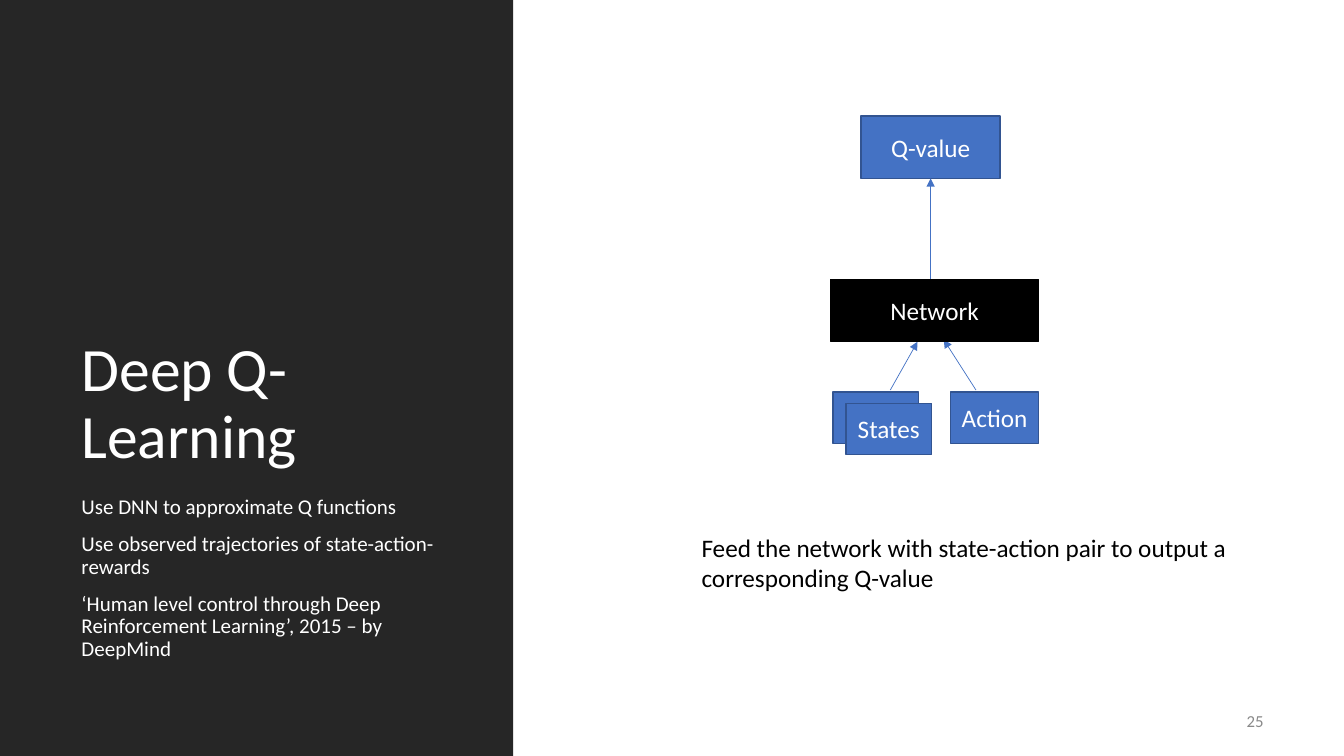
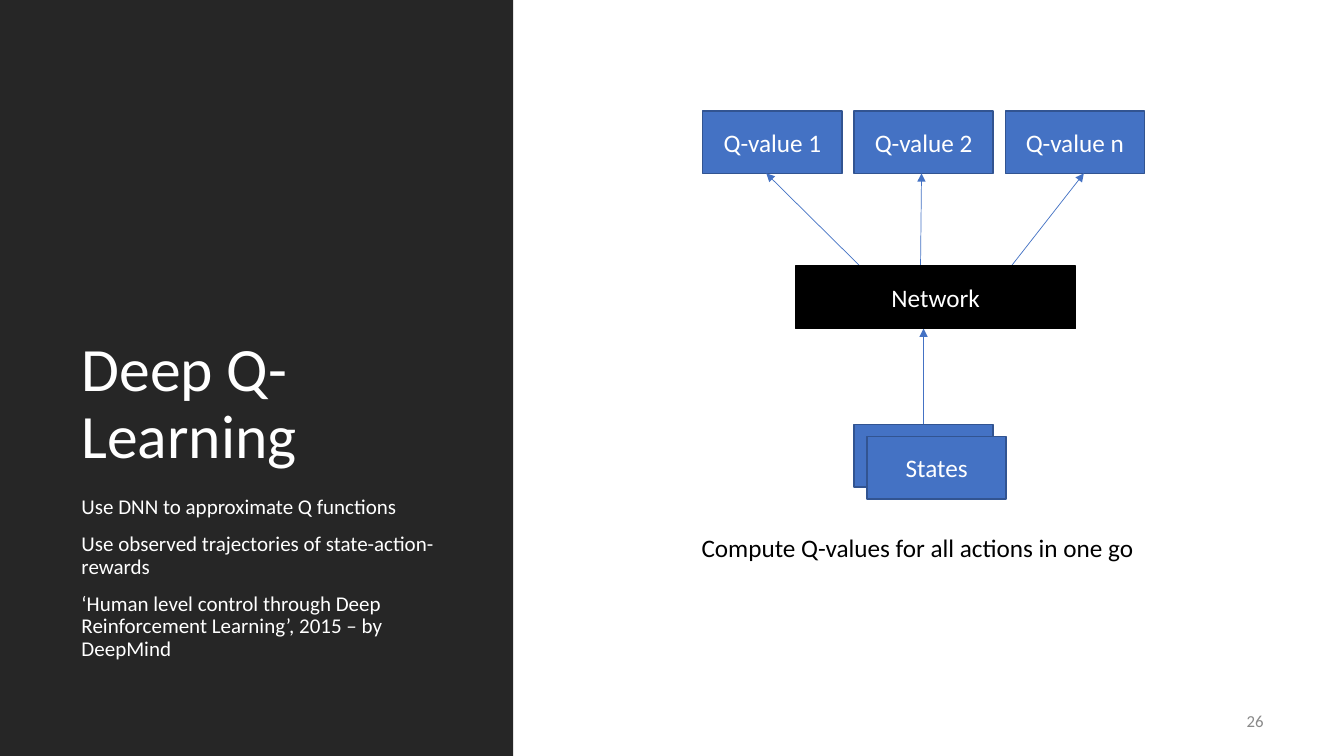
from dataclasses import dataclass

from lxml import etree
from pptx import Presentation
from pptx.dml.color import RGBColor
from pptx.enum.shapes import MSO_CONNECTOR, MSO_SHAPE
from pptx.enum.text import MSO_ANCHOR as ANCHOR, PP_ALIGN as ALIGN
from pptx.oxml.ns import qn
from pptx.util import Pt

PX = 9144  # EMU per px, 100 px to the inch
SLIDE_W, SLIDE_H = 1333, 750
BOX_W, BOX_H = 138, 62
SMALL_H = 51


@dataclass(frozen=True)
class Theme:
    font: str = "Calibri"
    panel: str = "262626"
    white: str = "FFFFFF"
    black: str = "000000"
    blue: str = "4472C4"
    outline: str = "325491"
    grey: str = "898989"
    title_size: int = 44
    body_size: int = 15
    text_size: int = 18
    number_size: int = 12


T = Theme()
TITLE = "Deep Q-Learning"
POINTS = [
    "Use DNN to approximate Q functions",
    "Use observed trajectories of state-action-rewards",
    "‘Human level control through Deep Reinforcement Learning’, 2015 – by DeepMind",
]


def emu(*lengths):
    return [n * PX for n in lengths]


def rgb(color):
    return RGBColor.from_string(color)


def write(tf, lines, size, color, align=ALIGN.LEFT, anchor=ANCHOR.TOP,
          spacing=None, gap=0):
    """Fill a text frame, one paragraph a line, with gap points between."""
    tf.word_wrap = True
    tf.vertical_anchor = anchor
    for i, line in enumerate(lines):
        p = tf.add_paragraph() if i else tf.paragraphs[0]
        p.alignment = align
        p.line_spacing = spacing
        if i and gap:
            p.space_before = Pt(gap)
        r = p.add_run()
        r.text = line
        r.font.name, r.font.size = T.font, Pt(size)
        r.font.color.rgb = rgb(color)


def add_text(s, at, lines, size, color, **style):
    tb = s.shapes.add_textbox(*emu(*at))
    write(tb.text_frame, lines, size, color, **style)


def add_box(s, at, label="", fill=T.blue, line=T.outline):
    sp = s.shapes.add_shape(MSO_SHAPE.RECTANGLE, *emu(*at))
    sp.shadow.inherit = False
    sp.fill.solid()
    sp.fill.fore_color.rgb = rgb(fill)
    if line:
        sp.line.color.rgb = rgb(line)
        sp.line.width = Pt(1)
    else:
        sp.line.fill.background()
    if label:
        tf = sp.text_frame
        tf.margin_left = tf.margin_right = 0
        write(tf, [label], T.text_size, T.white, ALIGN.CENTER, ANCHOR.MIDDLE)


def add_network(s, at):
    add_box(s, at, "Network", T.black, T.black)


def add_states(s, left, top, width, height, step):
    """Two overlapping boxes, the front one labelled."""
    add_box(s, (left, top, width, height))
    add_box(s, (left + 13, top + step, width, height), "States")


def add_arrow(s, start, end):
    cn = s.shapes.add_connector(MSO_CONNECTOR.STRAIGHT, *emu(*start, *end))
    cn.line.color.rgb = rgb(T.blue)
    cn.line.width = Pt(0.5)
    etree.SubElement(cn.line._get_or_add_ln(), qn("a:tailEnd"), type="triangle")
    etree.SubElement(cn._element.spPr, qn("a:effectLst"))


def add_base(prs, number, caption, caption_h):
    """A slide with the dark panel, its texts, the page number and a caption."""
    s = prs.slides.add_slide(prs.slide_layouts[6])
    add_box(s, (0, 0, 509, SLIDE_H), fill=T.panel, line=None)
    add_text(s, (71, 70, 369, 403), [TITLE], T.title_size, T.white,
             anchor=ANCHOR.BOTTOM, spacing=0.9)
    add_text(s, (71, 488, 369, 192), POINTS, T.body_size, T.white,
             spacing=0.9, gap=10)
    add_text(s, (1195, 695, 68, 40), [str(number)], T.number_size, T.grey,
             align=ALIGN.RIGHT, anchor=ANCHOR.MIDDLE)
    add_text(s, (686, 523, 563, caption_h), [caption], T.text_size, T.black)
    return s


def single_value_slide(prs):
    s = add_base(prs, 25, "Feed the network with state-action pair to output "
                 "a corresponding Q-value", 71)
    add_box(s, (854, 115, BOX_W, BOX_H), "Q-value")
    for start, end in [((923, 277), (923, 177)),
                       ((883, 387), (910, 339)),
                       ((968, 387), (936, 337))]:
        add_arrow(s, start, end)
    add_network(s, (824, 277, 206, BOX_H))
    add_states(s, 826, 389, 85, SMALL_H, 11)
    add_box(s, (943, 389, 87, SMALL_H), "Action")


def all_values_slide(prs):
    s = add_base(prs, 26, "Compute Q-values for all actions in one go", 40)
    top, network_top, states_top = 110, 264, 421
    for i, suffix in enumerate("12n"):
        add_box(s, (697 + 150 * i, top, BOX_W, BOX_H), f"Q-value {suffix}")
    for start_x, end_x in [(853, 760), (913, 914), (1003, 1075)]:
        add_arrow(s, (start_x, network_top), (end_x, top + BOX_H))
    add_arrow(s, (916, states_top), (916, network_top + BOX_H))
    add_network(s, (789, network_top, 278, BOX_H))
    add_states(s, 847, states_top, BOX_W, BOX_H, 12)


def main():
    prs = Presentation()
    prs.slide_width, prs.slide_height = emu(SLIDE_W, SLIDE_H)
    single_value_slide(prs)
    all_values_slide(prs)
    prs.save("out.pptx")


if __name__ == "__main__":
    main()
